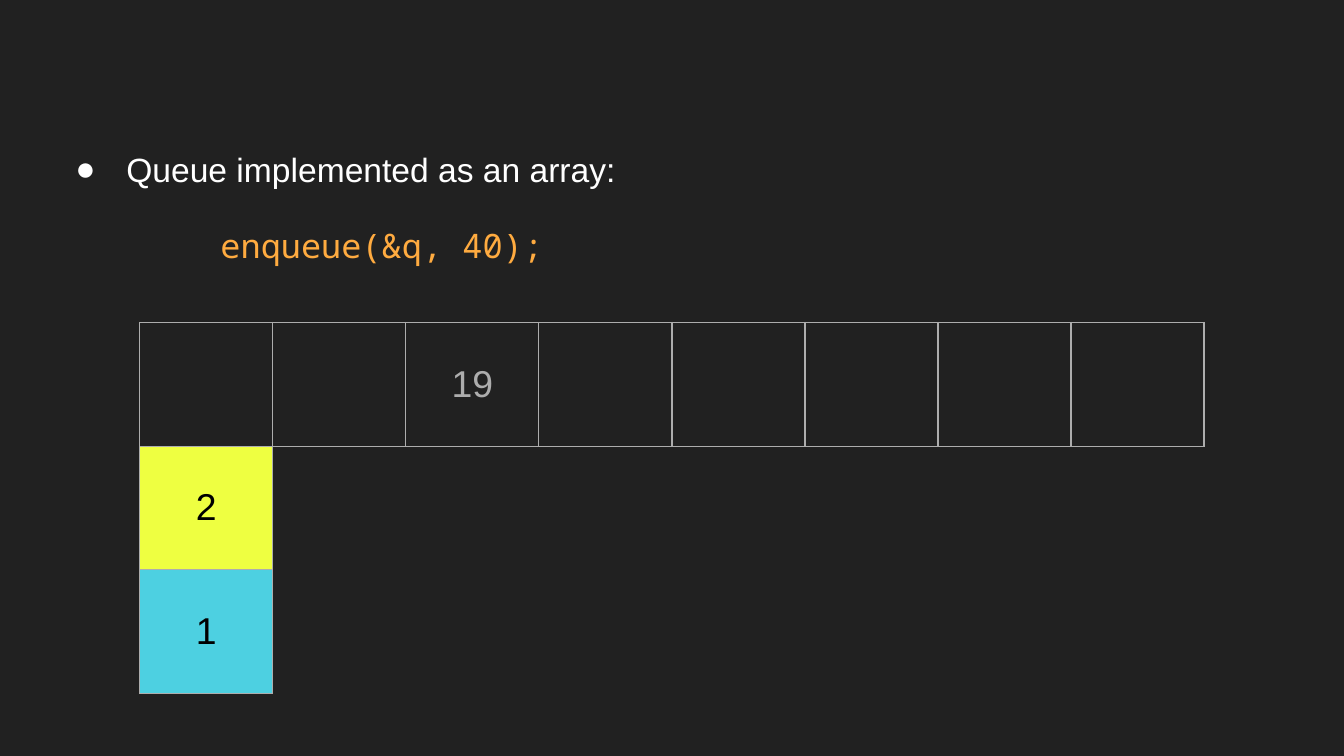
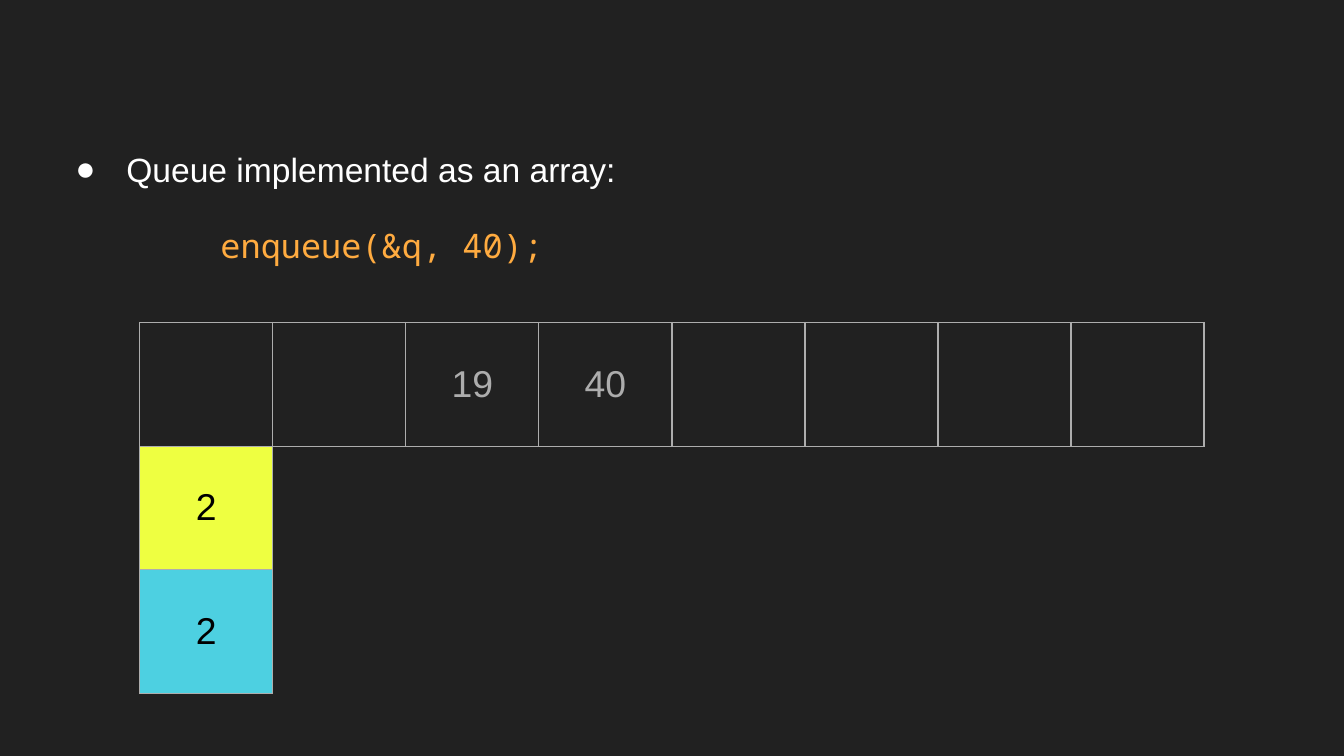
from dataclasses import dataclass

from lxml.etree import SubElement as Sub
from pptx import Presentation
from pptx.dml.color import RGBColor as Rgb
from pptx.enum.text import MSO_ANCHOR as Anchor, MSO_AUTO_SIZE as Fit, PP_ALIGN as Align
from pptx.oxml.ns import qn
from pptx.util import Inches, Pt


@dataclass(frozen=True)
class Theme:
    back: str = "212121"
    white: str = "FFFFFF"
    gray: str = "ADADAD"
    black: str = "000000"
    orange: str = "FFAB40"
    yellow: str = "EEFF41"
    cyan: str = "4DD0E1"
    sans: str = "Arial"
    mono: str = "Noto Sans Mono"
    body: int = 18
    cell: int = 20
    line: float = 0.75


THEME = Theme()
WIDE = Inches(10)
HIGH = WIDE * 9 // 16
COLS, ROWS = 8, 3
COL, ROW = Inches(0.99), Inches(0.92)
LEFT, TOP = (WIDE - COLS * COL) // 2, Inches(2.4)
PAD = Inches(0.1)
SIDES = {"lnL": (0, -1), "lnR": (0, 1), "lnT": (-1, 0), "lnB": (1, 0)}
CODE = "enqueue(&q, 40);"


def add_run(para, text, face, size, color):
    run = para.add_run()
    run.text = text
    run.font.name = face
    run.font.size = Pt(size)
    run.font.color.rgb = Rgb.from_string(color)


def set_bullet(para, mark=None):
    props = para._p.get_or_add_pPr()
    props.set("marL", str(Inches(0.5) if mark else 0))
    props.set("indent", str(Inches(-0.38) if mark else 0))
    if mark:
        tint = Sub(props, qn("a:buClr"))
        Sub(tint, qn("a:srgbClr"), val=THEME.white)
        Sub(props, qn("a:buFont"), typeface=THEME.sans)
        Sub(props, qn("a:buChar"), char=mark)
    else:
        Sub(props, qn("a:buNone"))


def set_pads(item):
    item.margin_left = item.margin_right = PAD
    item.margin_top = item.margin_bottom = PAD


def add_body(slide):
    body = slide.placeholders[1]
    body.left, body.top = Inches(0.34), Inches(0.96)
    body.width, body.height = WIDE - 2 * body.left, Inches(3.53)
    frame = body.text_frame
    set_pads(frame)
    frame.word_wrap = True
    frame.auto_size = Fit.NONE
    frame.vertical_anchor = Anchor.TOP
    point, code = frame.paragraphs[0], frame.add_paragraph()
    for para, mark, space in ((point, "●", 0), (code, None, 16)):
        set_bullet(para, mark)
        para.alignment = Align.LEFT
        para.line_spacing = 1.15
        para.space_before = Pt(space)
        para.space_after = Pt(0)
    add_run(point, "Queue implemented as an array:", THEME.sans, THEME.body, THEME.white)
    add_run(code, " " * 8, THEME.mono, THEME.body, THEME.gray)
    add_run(code, CODE, THEME.mono, THEME.body, THEME.orange)


def is_framed(row, col):
    return row == 0 and 0 <= col < COLS or col == 0 and 0 <= row < ROWS


def set_edges(cell, row, col):
    props = cell._tc.get_or_add_tcPr()
    for side, (down, over) in SIDES.items():
        edge = Sub(props, qn(f"a:{side}"), w=str(Pt(THEME.line)))
        if is_framed(row, col) or is_framed(row + down, col + over):
            fill = Sub(edge, qn("a:solidFill"))
            Sub(fill, qn("a:srgbClr"), val=THEME.gray)
        else:
            Sub(edge, qn("a:noFill"))


def set_cell(cell, text, fill):
    set_pads(cell)
    cell.vertical_anchor = Anchor.MIDDLE
    if fill:
        cell.fill.solid()
        cell.fill.fore_color.rgb = Rgb.from_string(fill)
    else:
        cell.fill.background()
    if text:
        para = cell.text_frame.paragraphs[0]
        para.alignment = Align.CENTER
        color = THEME.black if fill else THEME.gray
        add_run(para, text, THEME.sans, THEME.cell, color)


def add_queue(slide, items, front, size):
    shape = slide.shapes.add_table(ROWS, COLS, LEFT, TOP, COLS * COL, ROWS * ROW)
    table = shape.table
    table.first_row = table.horz_banding = False
    texts = {(0, col): text for col, text in items.items()}
    texts.update({(1, 0): front, (2, 0): size})
    fills = {(1, 0): THEME.yellow, (2, 0): THEME.cyan}
    for row in range(ROWS):
        for col in range(COLS):
            cell = table.cell(row, col)
            set_edges(cell, row, col)
            set_cell(cell, texts.get((row, col)), fills.get((row, col)))


def add_step(deck, items, front, size):
    slide = deck.slides.add_slide(deck.slide_layouts[1])
    title = slide.shapes.title._element
    title.getparent().remove(title)
    add_body(slide)
    add_queue(slide, items, front, size)


def main():
    deck = Presentation()
    deck.slide_width, deck.slide_height = WIDE, HIGH
    fill = deck.slide_master.background.fill
    fill.solid()
    fill.fore_color.rgb = Rgb.from_string(THEME.back)
    add_step(deck, {2: "19"}, "2", "1")
    add_step(deck, {2: "19", 3: "40"}, "2", "2")
    deck.save("out.pptx")


if __name__ == "__main__":
    main()
